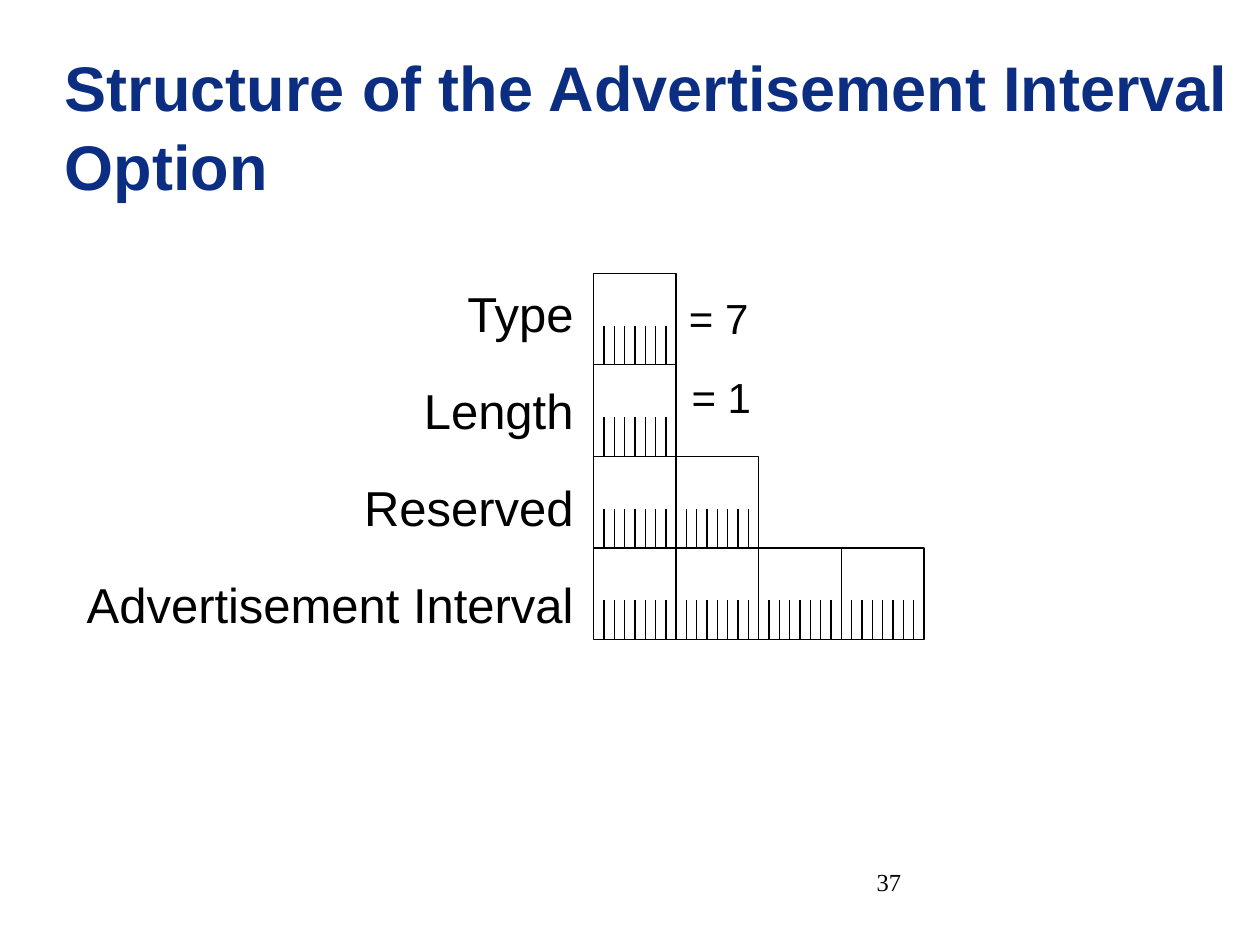
from dataclasses import dataclass

from lxml.etree import SubElement
from pptx import Presentation
from pptx.dml.color import RGBColor
from pptx.enum.shapes import MSO_CONNECTOR, MSO_SHAPE
from pptx.enum.text import MSO_ANCHOR, PP_ALIGN
from pptx.oxml.ns import qn
from pptx.util import Pt


@dataclass(frozen=True)
class Theme:
    ink: RGBColor = RGBColor(0, 0, 0)
    paper: RGBColor = RGBColor(255, 255, 255)
    heading: RGBColor = RGBColor(0x0C, 0x2E, 0x82)
    sans: str = "Arial"
    serif: str = "Times New Roman"
    title: float = 36
    label: float = 28
    value: float = 24
    number: float = 14
    line: float = 0.75


class FieldDiagram:
    """Draws byte-field rows and their text on one slide."""

    def __init__(self, slide, theme):
        self.shapes = slide.shapes
        self.theme = theme

    def text(self, box, lines, size, frame=None, para=None, font=None):
        tf = self.shapes.add_textbox(*map(Pt, box)).text_frame
        for name, value in ({"word_wrap": True} | (frame or {})).items():
            setattr(tf, name, value)
        style = {"name": self.theme.sans, "size": Pt(size)} | (font or {})
        color = style.pop("color", self.theme.ink)
        for i, line in enumerate(lines):
            p = tf.add_paragraph() if i else tf.paragraphs[0]
            r = p.add_run()
            r.text = line
            for name, value in (para or {}).items():
                if i or name != "space_before":
                    setattr(p, name, value)
            for name, value in style.items():
                setattr(r.font, name, value)
            r.font.color.rgb = color

    def outline(self, sp):
        sp.line.color.rgb = self.theme.ink
        sp.line.width = Pt(self.theme.line)

    def tick(self, x, top, bottom):
        ends = map(Pt, (x, top, x, bottom))
        sp = self.shapes.add_connector(MSO_CONNECTOR.STRAIGHT, *ends)
        self.outline(sp)
        SubElement(sp._element.spPr, qn("a:effectLst"))

    def byte(self, x, y, width, height, tick_height):
        box = map(Pt, (x, y, width, height))
        sp = self.shapes.add_shape(MSO_SHAPE.RECTANGLE, *box)
        sp.shadow.inherit = False
        sp.fill.solid()
        sp.fill.fore_color.rgb = self.theme.paper
        self.outline(sp)
        for bit in range(1, 8):
            self.tick(x + bit * width / 8, y + height - tick_height, y + height)


def main():
    prs = Presentation()
    prs.slide_width, prs.slide_height = Pt(720), Pt(540)
    theme = Theme()
    s = FieldDiagram(prs.slides.add_slide(prs.slide_layouts[6]), theme)

    s.text((30, 5.8, 689, 130.4), ["Structure of the Advertisement Interval Option"],
           theme.title, {"vertical_anchor": MSO_ANCHOR.MIDDLE}, {"line_spacing": 1.05},
           {"bold": True, "color": theme.heading})

    fields = {"Type": 1, "Length": 1, "Reserved": 2, "Advertisement Interval": 4}
    left, top, width, height = 339.2, 156.2, 47.2, 52.3
    for row, count in enumerate(fields.values()):
        for col in range(count):
            s.byte(left + col * width, top + row * height, width, height, 22.4)

    s.text((18, 158.6, 316.8, 200.6), fields, theme.label,
           para={"alignment": PP_ALIGN.RIGHT, "space_before": Pt(21.7)})
    for value, x, y in (("= 7", 386.6, 163.4), ("= 1", 388.1, 208.8)):
        s.text((x, y, 48.2, 36), [value], theme.value, {"word_wrap": False})
    s.text((372.2, 491.8, 149.8, 36), ["37"], theme.number,
           para={"alignment": PP_ALIGN.RIGHT}, font={"name": theme.serif})

    prs.save("out.pptx")


if __name__ == "__main__":
    main()
